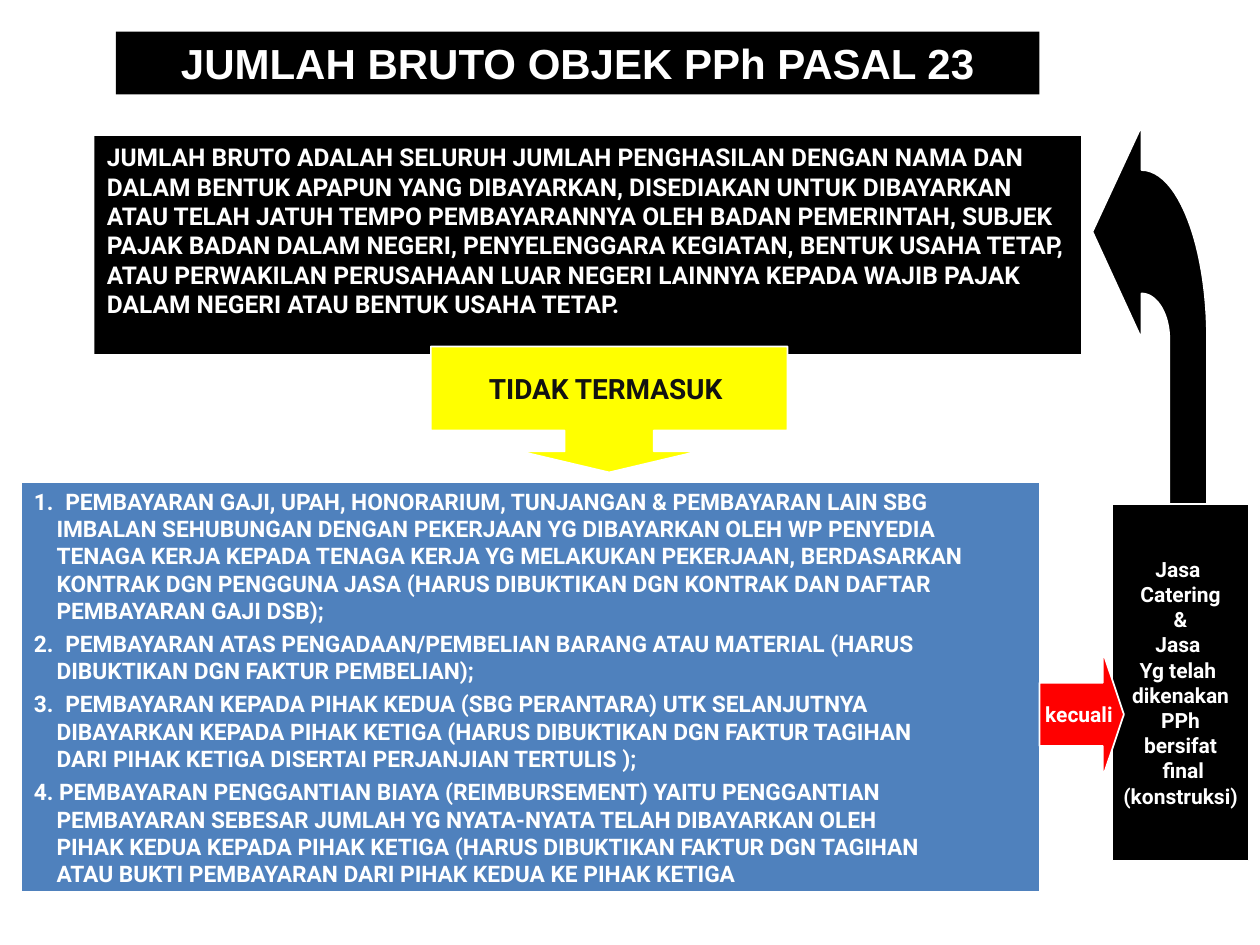
from lxml.etree import SubElement
from pptx import Presentation
from pptx.dml.color import RGBColor
from pptx.enum.shapes import MSO_SHAPE as Shape
from pptx.enum.text import MSO_ANCHOR as Anchor, PP_ALIGN as Align
from pptx.oxml.ns import qn
from pptx.util import Inches, Pt

BLACK = RGBColor(0x00, 0x00, 0x00)
WHITE = RGBColor(0xFF, 0xFF, 0xFF)
INK = RGBColor(0x11, 0x11, 0x11)
YELLOW = RGBColor(0xFF, 0xFF, 0x00)
BLUE = RGBColor(0x4F, 0x81, 0xBD)
RED = RGBColor(0xFF, 0x00, 0x00)

TITLE = "JUMLAH BRUTO OBJEK PPh PASAL 23"
DEFINITION = (
    "JUMLAH BRUTO ADALAH SELURUH JUMLAH PENGHASILAN DENGAN NAMA DAN DALAM BENTUK "
    "APAPUN YANG DIBAYARKAN, DISEDIAKAN UNTUK DIBAYARKAN ATAU TELAH JATUH TEMPO "
    "PEMBAYARANNYA OLEH BADAN PEMERINTAH, SUBJEK PAJAK BADAN DALAM NEGERI, "
    "PENYELENGGARA KEGIATAN, BENTUK USAHA TETAP, ATAU PERWAKILAN PERUSAHAAN LUAR "
    "NEGERI LAINNYA KEPADA WAJIB PAJAK DALAM NEGERI ATAU BENTUK USAHA TETAP."
)
EXCLUSIONS = [
    ["PEMBAYARAN GAJI, UPAH, HONORARIUM, TUNJANGAN & PEMBAYARAN LAIN SBG",
     "IMBALAN SEHUBUNGAN DENGAN PEKERJAAN YG DIBAYARKAN OLEH WP PENYEDIA",
     "TENAGA KERJA KEPADA TENAGA KERJA YG MELAKUKAN PEKERJAAN, BERDASARKAN",
     "KONTRAK DGN PENGGUNA JASA (HARUS DIBUKTIKAN DGN KONTRAK DAN DAFTAR",
     "PEMBAYARAN GAJI DSB);"],
    ["PEMBAYARAN ATAS PENGADAAN/PEMBELIAN BARANG ATAU MATERIAL (HARUS",
     "DIBUKTIKAN DGN FAKTUR PEMBELIAN);"],
    ["PEMBAYARAN KEPADA PIHAK KEDUA (SBG PERANTARA) UTK SELANJUTNYA",
     "DIBAYARKAN KEPADA PIHAK KETIGA (HARUS DIBUKTIKAN DGN FAKTUR TAGIHAN",
     "DARI PIHAK KETIGA DISERTAI PERJANJIAN TERTULIS );"],
    ["4. PEMBAYARAN PENGGANTIAN BIAYA (REIMBURSEMENT) YAITU PENGGANTIAN",
     "PEMBAYARAN SEBESAR JUMLAH YG NYATA-NYATA TELAH DIBAYARKAN OLEH",
     "PIHAK KEDUA KEPADA PIHAK KETIGA (HARUS DIBUKTIKAN FAKTUR DGN TAGIHAN",
     "ATAU BUKTI PEMBAYARAN DARI PIHAK KEDUA KE PIHAK KETIGA"],
]
EXCEPTIONS = ["Jasa ", "Catering", "&", "Jasa ", "Yg telah ", "dikenakan",
              " PPh ", "bersifat", " final", "(konstruksi)"]


def paint(shape, fill, outlined=True):
    shape.shadow.inherit = False
    shape.fill.solid()
    shape.fill.fore_color.rgb = fill
    if outlined:
        shape.line.color.rgb = WHITE
        shape.line.width = Pt(1)
    else:
        shape.line.fill.background()


def style_text(paragraph, size, color=WHITE, font="Roboto", align=Align.CENTER):
    paragraph.alignment = align
    for name, value in {"name": font, "size": Pt(size), "bold": True}.items():
        setattr(paragraph.font, name, value)
    paragraph.font.color.rgb = color


def add_box(slide, preset, place, fill, outlined=True, adjustments=(),
            anchor=Anchor.MIDDLE, wrap=False):
    box = slide.shapes.add_shape(preset, *map(Inches, place))
    for index, value in enumerate(adjustments):
        box.adjustments[index] = value
    paint(box, fill, outlined)
    box.text_frame.word_wrap = wrap
    box.text_frame.vertical_anchor = anchor
    return box


def write_lines(box, lines, size, color=WHITE, align=Align.CENTER):
    box.text_frame.text = "\n".join(lines)
    for paragraph in box.text_frame.paragraphs:
        style_text(paragraph, size, color, align=align)


def indent(paragraph, margin, first=0, number=None):
    properties = paragraph._p.get_or_add_pPr()
    properties.set("marL", str(Inches(margin)))
    properties.set("indent", str(Inches(first)))
    if number:
        bullet_color = SubElement(properties, qn("a:buClr"))
        SubElement(bullet_color, qn("a:srgbClr"), val=str(WHITE))
        SubElement(properties, qn("a:buFont"), typeface="+mj-lt")
        SubElement(properties, qn("a:buAutoNum"), type="arabicPeriod", startAt=str(number))


def write_exclusions(box):
    frame = box.text_frame
    for number, lines in enumerate(EXCLUSIONS, 1):
        for row, line in enumerate(lines):
            is_first = number == 1 and row == 0
            paragraph = frame.paragraphs[0] if is_first else frame.add_paragraph()
            paragraph.text = line
            if row:
                indent(paragraph, 0.18)
            elif line.startswith(f"{number}."):
                indent(paragraph, 0.25, -0.25)
            else:
                indent(paragraph, 0.25, -0.25, number)
            if row == 0 and not is_first:
                paragraph.space_before = Pt(3.3)
            style_text(paragraph, 13, align=Align.LEFT)


def curve(start, control_1, control_2, end, steps=24):
    """Points along a cubic curve, without its start."""
    for step in range(1, steps + 1):
        t = step / steps
        weights = ((1 - t) ** 3, 3 * t * (1 - t) ** 2, 3 * t * t * (1 - t), t ** 3)
        yield tuple(sum(w * c for w, c in zip(weights, axis))
                    for axis in zip(start, control_1, control_2, end))


def add_return_arrow(slide):
    outline = [
        (8.67, 1.84), (9.06, 1), (9.06, 1.35),
        *curve((9.06, 1.35), (9.35, 1.35), (9.58, 1.95), (9.58, 2.69)),
        (9.58, 4), (9.28, 4), (9.28, 2.69),
        *curve((9.28, 2.69), (9.28, 2.49), (9.18, 2.33), (9.06, 2.33)),
        (9.06, 2.69),
    ]
    points = [(Inches(x), Inches(y)) for x, y in outline]
    builder = slide.shapes.build_freeform(*points[0], scale=1.0)
    builder.add_line_segments(points[1:], close=True)
    paint(builder.convert_to_shape(), BLACK)


def add_title(slide):
    title = slide.shapes.title
    place = {"left": 0.92, "top": 0.25, "width": 7.33, "height": 0.5}
    for name, value in place.items():
        setattr(title, name, Inches(value))
    title.fill.solid()
    title.fill.fore_color.rgb = BLACK
    title.text_frame.text = TITLE
    title.text_frame.vertical_anchor = Anchor.BOTTOM
    style_text(title.text_frame.paragraphs[0], 24, font="Arial")


def main():
    deck = Presentation()
    deck.slide_width, deck.slide_height = Inches(10), Inches(7.5)
    slide = deck.slides.add_slide(deck.slide_layouts[5])
    add_title(slide)

    # Definition of the gross amount
    definition = add_box(slide, Shape.RECTANGLE, (0.75, 1.08, 7.83, 1.73), BLACK,
                         outlined=False, anchor=Anchor.TOP, wrap=True)
    write_lines(definition, [DEFINITION], 14, align=Align.LEFT)

    # What is not included
    not_included = add_box(slide, Shape.DOWN_ARROW_CALLOUT, (3.42, 2.75, 2.83, 1), YELLOW,
                           adjustments=(0.708, 0.708, 0.167, 0.667))
    write_lines(not_included, ["TIDAK TERMASUK "], 16, INK)
    exclusions = add_box(slide, Shape.RECTANGLE, (0.17, 3.83, 8.08, 3.25), BLUE, wrap=True)
    write_exclusions(exclusions)

    # Exceptions that count towards the gross amount again
    exceptions = add_box(slide, Shape.RECTANGLE, (8.83, 4, 1.08, 2.83), BLACK)
    write_lines(exceptions, EXCEPTIONS, 12)
    add_return_arrow(slide)
    except_arrow = add_box(slide, Shape.RIGHT_ARROW, (8.25, 5.17, 0.67, 1), RED,
                           adjustments=(0.5, 0.25))
    write_lines(except_arrow, [" kecuali"], 12)

    deck.save("out.pptx")


if __name__ == "__main__":
    main()
